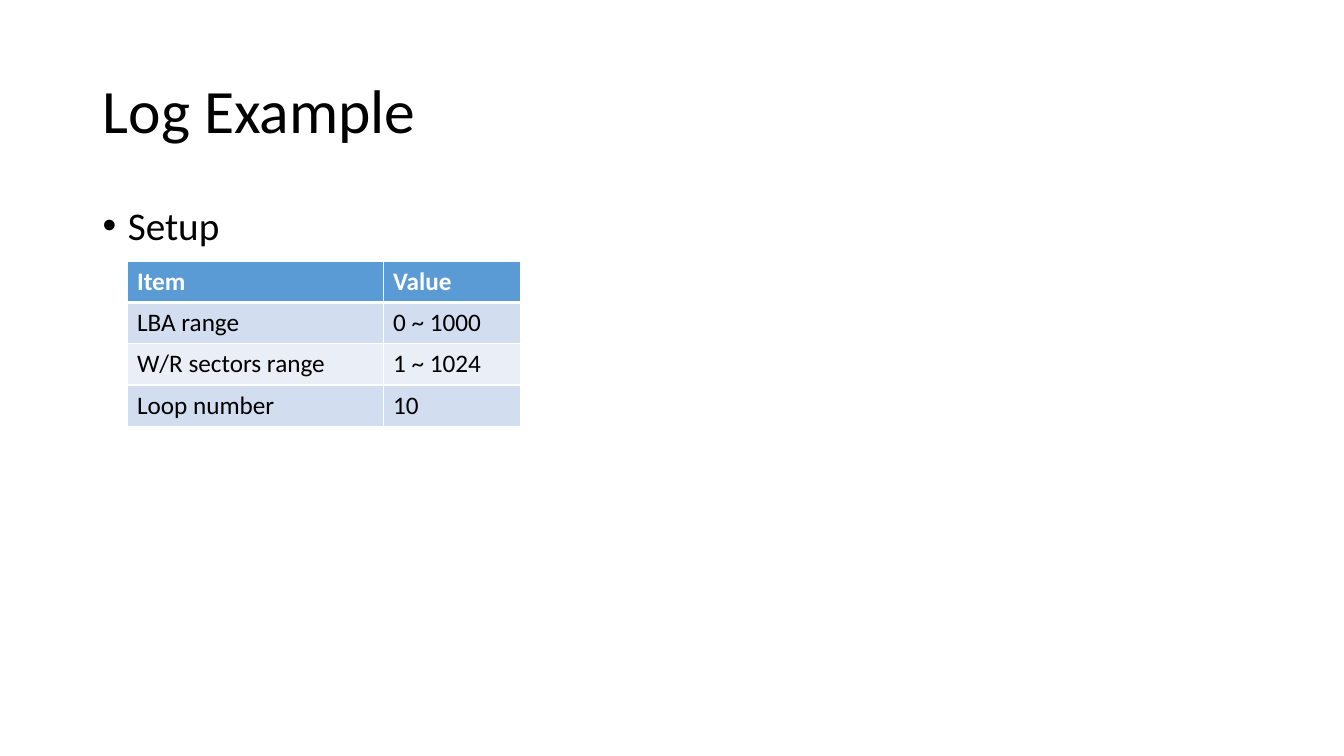
from lxml import etree
from pptx import Presentation
from pptx.dml.color import RGBColor
from pptx.enum.text import MSO_ANCHOR, PP_ALIGN
from pptx.oxml.ns import qn
from pptx.util import Inches, Pt

MID, TOP = MSO_ANCHOR.MIDDLE, MSO_ANCHOR.TOP
LEFT = PP_ALIGN.LEFT
BLACK = RGBColor(0x00, 0x00, 0x00)
WHITE = RGBColor(0xFF, 0xFF, 0xFF)
BLUE = RGBColor(0x5B, 0x9B, 0xD5)
BANDS = RGBColor(0xEA, 0xEF, 0xF7), RGBColor(0xD2, 0xDE, 0xEF)
FONT = "Calibri"
WIDE, HIGH = 13.33, 7.5
EDGE, SPAN = 0.92, 11.5
INDENT = 0.25
COLS, ROW = (2.54, 1.36), 0.41
DATA = [
    ("Item", "Value"),
    ("LBA range", "0 ~ 1000"),
    ("W/R sectors range", "1 ~ 1024"),
    ("Loop number", "10"),
]


def write(frame, text, size=18, color=BLACK, bold=False, line=1.0, before=0):
    """Fill a text frame with one formatted paragraph and return it."""
    para = frame.paragraphs[0]
    para.alignment = LEFT
    para.line_spacing = line
    para.space_before = Pt(before)
    run = para.add_run()
    run.text = text
    font = run.font
    font.name, font.size, font.bold = FONT, Pt(size), bold
    font.color.rgb = color
    return para


def place(shape, top, high):
    """Set a shape across the slide's text column."""
    shape.left, shape.top = Inches(EDGE), Inches(top)
    shape.width, shape.height = Inches(SPAN), Inches(high)


def add_title(slide, text):
    """Move and fill the title placeholder."""
    title = slide.shapes.title
    place(title, 0.4, 1.45)
    title.text_frame.vertical_anchor = MID
    write(title.text_frame, text, size=44, line=0.9)


def add_bullet(slide, text):
    """Add the body text with a hanging bullet."""
    box = slide.shapes.add_textbox(0, 0, 0, 0)
    place(box, 2, 4.76)
    frame = box.text_frame
    frame.word_wrap = True
    frame.vertical_anchor = TOP
    para = write(frame, text, size=28, line=0.9, before=10)
    props = para._p.get_or_add_pPr()
    props.set("marL", str(Inches(INDENT)))
    props.set("indent", str(Inches(-INDENT)))
    etree.SubElement(props, qn("a:buFont"), typeface="Arial")
    etree.SubElement(props, qn("a:buChar"), char="•")


def add_rule(cell, side, width):
    """Draw one white border of a cell."""
    props = cell._tc.get_or_add_tcPr()
    line = etree.SubElement(props, qn(f"a:ln{side}"), w=str(Pt(width)))
    fill = etree.SubElement(line, qn("a:solidFill"))
    etree.SubElement(fill, qn("a:srgbClr"), val=str(WHITE))


def add_grid(slide, data):
    """Add the banded table with its header row."""
    size = Inches(sum(COLS)), Inches(ROW * len(data))
    grid = slide.shapes.add_table(
        len(data), len(COLS), Inches(1.26), Inches(2.59), *size
    ).table
    for col, wide in zip(grid.columns, COLS):
        col.width = Inches(wide)
    for num, row in enumerate(data):
        head = num == 0
        grid.rows[num].height = Inches(ROW)
        for pos, text in enumerate(row):
            cell = grid.cell(num, pos)
            rules = {"L": 1, "R": 1, "T": 3 if num == 1 else 1, "B": 3 if head else 1}
            for side, width in rules.items():
                add_rule(cell, side, width)
            cell.fill.solid()
            cell.fill.fore_color.rgb = BLUE if head else BANDS[num % 2]
            write(cell.text_frame, text, color=WHITE if head else BLACK, bold=head)


def main():
    """Build the slide and save it."""
    deck = Presentation()
    deck.slide_width, deck.slide_height = Inches(WIDE), Inches(HIGH)
    slide = deck.slides.add_slide(deck.slide_layouts[5])
    add_title(slide, "Log Example")
    add_bullet(slide, "Setup")
    add_grid(slide, DATA)
    deck.save("out.pptx")


if __name__ == "__main__":
    main()
